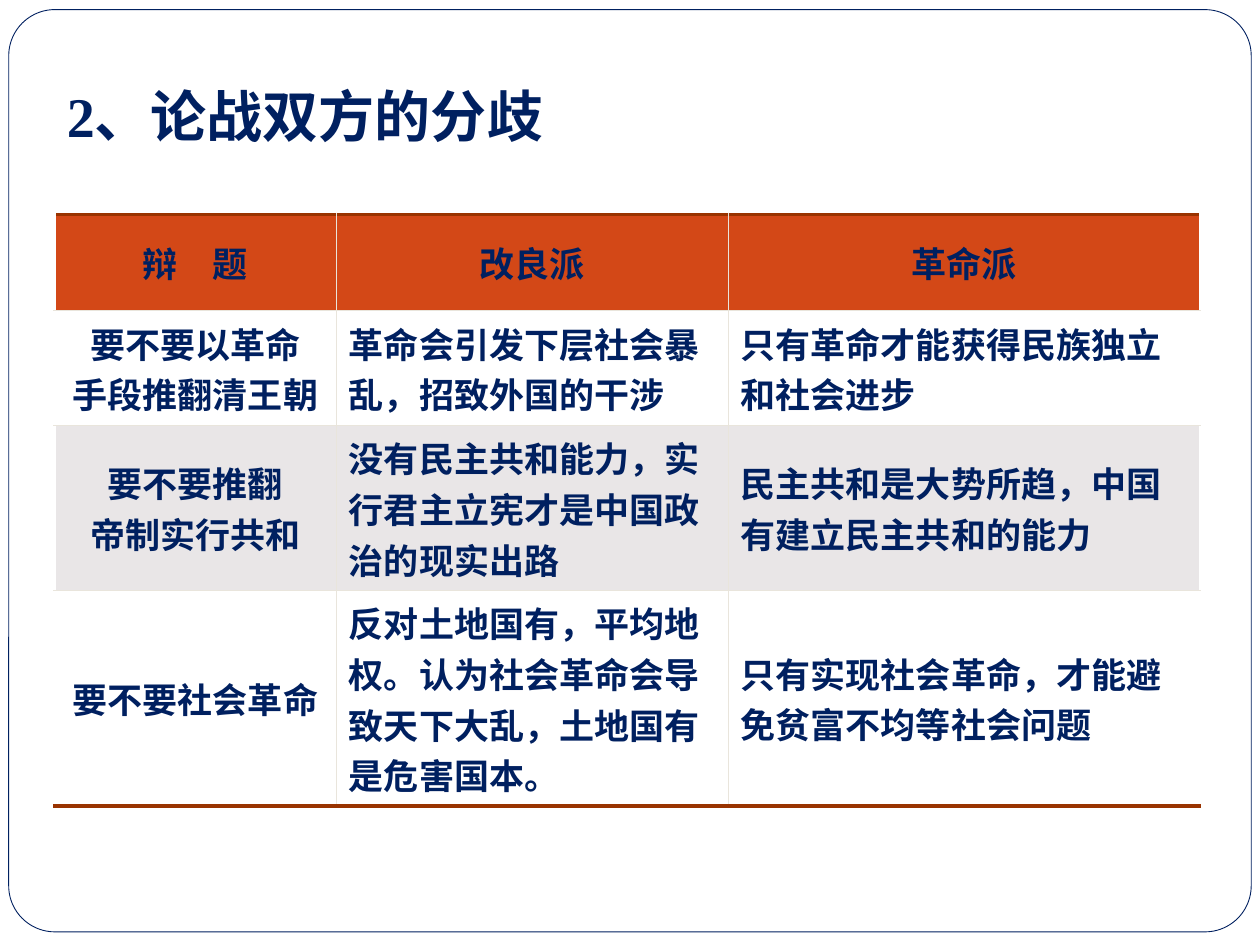
from lxml.etree import SubElement
from pptx import Presentation
from pptx.dml.color import RGBColor
from pptx.enum.lang import MSO_LANGUAGE_ID
from pptx.enum.shapes import MSO_SHAPE
from pptx.enum.text import MSO_ANCHOR, MSO_AUTO_SIZE, PP_ALIGN
from pptx.oxml.ns import qn
from pptx.util import Pt

COLORS = {
    "navy": "002060",
    "white": "FFFFFF",
    "header": "D34817",
    "band": "E9E6E7",
    "rule": "993300",
    "grid": "E9E5DC",
}
CJK_FONT = "Noto Sans CJK JP"
TITLE_FONT = "Times New Roman"

COLUMN_WIDTHS = [161, 223.9, 269.8]
ROW_HEIGHTS = [55, 65.7, 94.3, 123]
DEBATE_ROWS = [
    ["辩　题", "改良派", "革命派"],
    ["要不要以革命\n手段推翻清王朝",
     "革命会引发下层社会暴乱，招致外国的干涉",
     "只有革命才能获得民族独立和社会进步"],
    ["要不要推翻\n帝制实行共和",
     "没有民主共和能力，实行君主立宪才是中国政治的现实出路",
     "民主共和是大势所趋，中国有建立民主共和的能力"],
    ["要不要社会革命",
     "反对土地国有，平均地权。认为社会革命会导致天下大乱，土地国有是危害国本。",
     "只有实现社会革命，才能避免贫富不均等社会问题"],
]


def color(name):
    return RGBColor.from_string(COLORS[name])


def write_text(frame, text, size=20, font=CJK_FONT, align=PP_ALIGN.LEFT):
    frame.text = text
    for paragraph in frame.paragraphs:
        paragraph.alignment = align
        for run in paragraph.runs:
            run.font.size = Pt(size)
            run.font.bold = True
            run.font.color.rgb = color("navy")
            run.font.language_id = MSO_LANGUAGE_ID.SIMPLIFIED_CHINESE
            run.font.name = font
            SubElement(run.font._element, qn("a:ea"), typeface=CJK_FONT)


def set_borders(cell, borders):
    properties = cell._tc.get_or_add_tcPr()
    for side in ("L", "R", "T", "B"):
        name, width = borders[side]
        line = SubElement(properties, qn(f"a:ln{side}"), w=str(Pt(width)))
        fill = SubElement(line, qn("a:solidFill"))
        SubElement(fill, qn("a:srgbClr"), val=COLORS[name])


def add_page_frame(slide, left, top, width, height):
    shape = slide.shapes.add_shape(
        MSO_SHAPE.ROUNDED_RECTANGLE, Pt(left), Pt(top), Pt(width), Pt(height))
    shape.adjustments[0] = 0.05
    shape.shadow.inherit = False
    shape.fill.solid()
    shape.fill.fore_color.rgb = color("white")
    shape.line.color.rgb = color("navy")
    shape.line.width = Pt(0.5)
    slide.shapes.title.element.addprevious(shape.element)


def place_title(slide, left, top, width, height):
    title = slide.shapes.title
    title.left, title.top = Pt(left), Pt(top)
    title.width, title.height = Pt(width), Pt(height)
    frame = title.text_frame
    frame.word_wrap = True
    frame.auto_size = MSO_AUTO_SIZE.SHAPE_TO_FIT_TEXT
    frame.vertical_anchor = MSO_ANCHOR.TOP
    write_text(frame, "2、论战双方的分歧", size=32, font=TITLE_FONT)


def add_debate_table(slide, left, top):
    last_row, last_column = len(ROW_HEIGHTS) - 1, len(COLUMN_WIDTHS) - 1
    table = slide.shapes.add_table(
        len(ROW_HEIGHTS), len(COLUMN_WIDTHS), Pt(left), Pt(top),
        Pt(sum(COLUMN_WIDTHS)), Pt(sum(ROW_HEIGHTS))).table
    table.first_row = table.horz_banding = False
    for column, width in zip(table.columns, COLUMN_WIDTHS):
        column.width = Pt(width)
    for row, height in zip(table.rows, ROW_HEIGHTS):
        row.height = Pt(height)

    grid, edge, rule = ("grid", 0.5), ("white", 1.5), ("rule", 2.25)
    row_fills = {0: "header", 2: "band"}
    for i, texts in enumerate(DEBATE_ROWS):
        for j, text in enumerate(texts):
            cell = table.cell(i, j)
            cell.vertical_anchor = MSO_ANCHOR.MIDDLE
            centered = i == 0 or j == 0
            write_text(cell.text_frame, text,
                       align=PP_ALIGN.CENTER if centered else PP_ALIGN.LEFT)
            set_borders(cell, {
                "L": edge if j == 0 else grid,
                "R": edge if j == last_column else grid,
                "T": rule if i == 0 else grid,
                "B": rule if i == last_row else grid,
            })
            if i in row_fills:
                cell.fill.solid()
                cell.fill.fore_color.rgb = color(row_fills[i])
            else:
                cell.fill.background()


def main():
    presentation = Presentation()
    presentation.slide_width, presentation.slide_height = Pt(720), Pt(540)
    slide = presentation.slides.add_slide(presentation.slide_layouts[5])
    add_page_frame(slide, 5, 5.5, 710, 527)
    place_title(slide, 31, 43, 635, 46)
    add_debate_table(slide, 31.2, 122.5)
    presentation.save("out.pptx")


if __name__ == "__main__":
    main()
